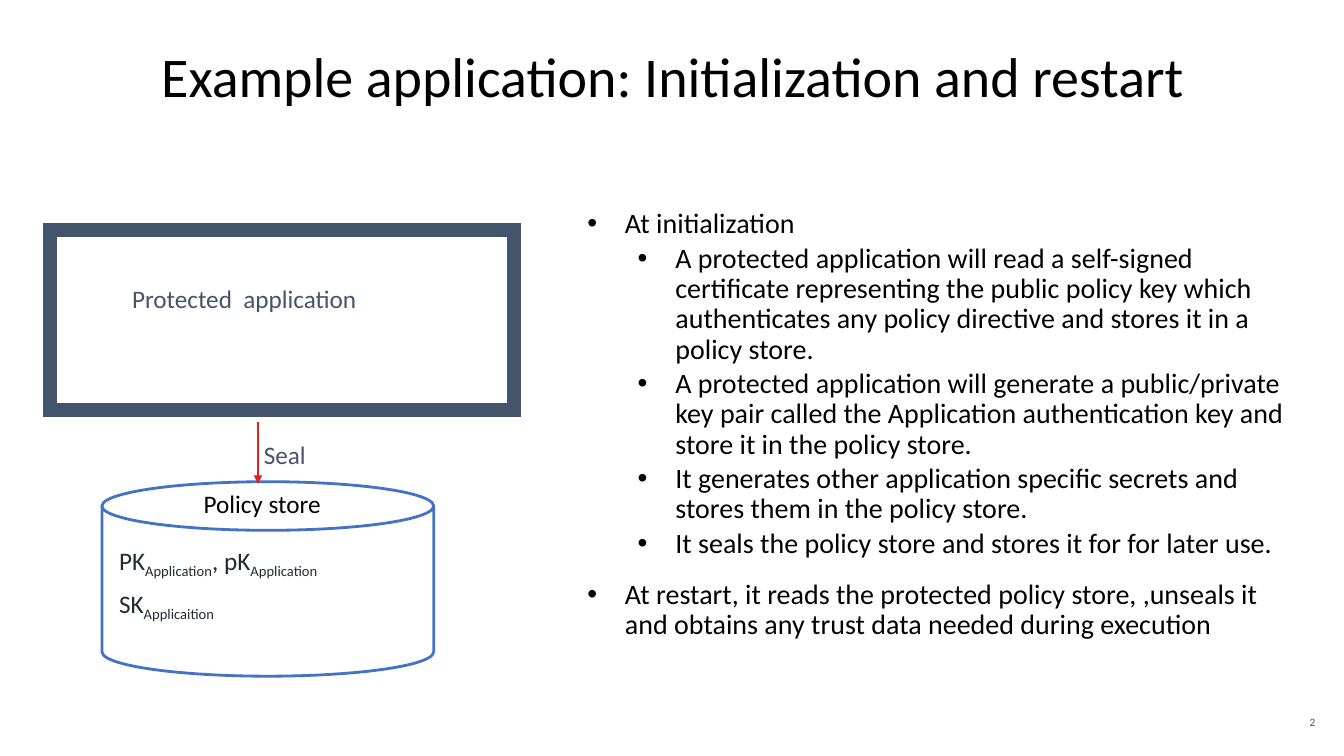
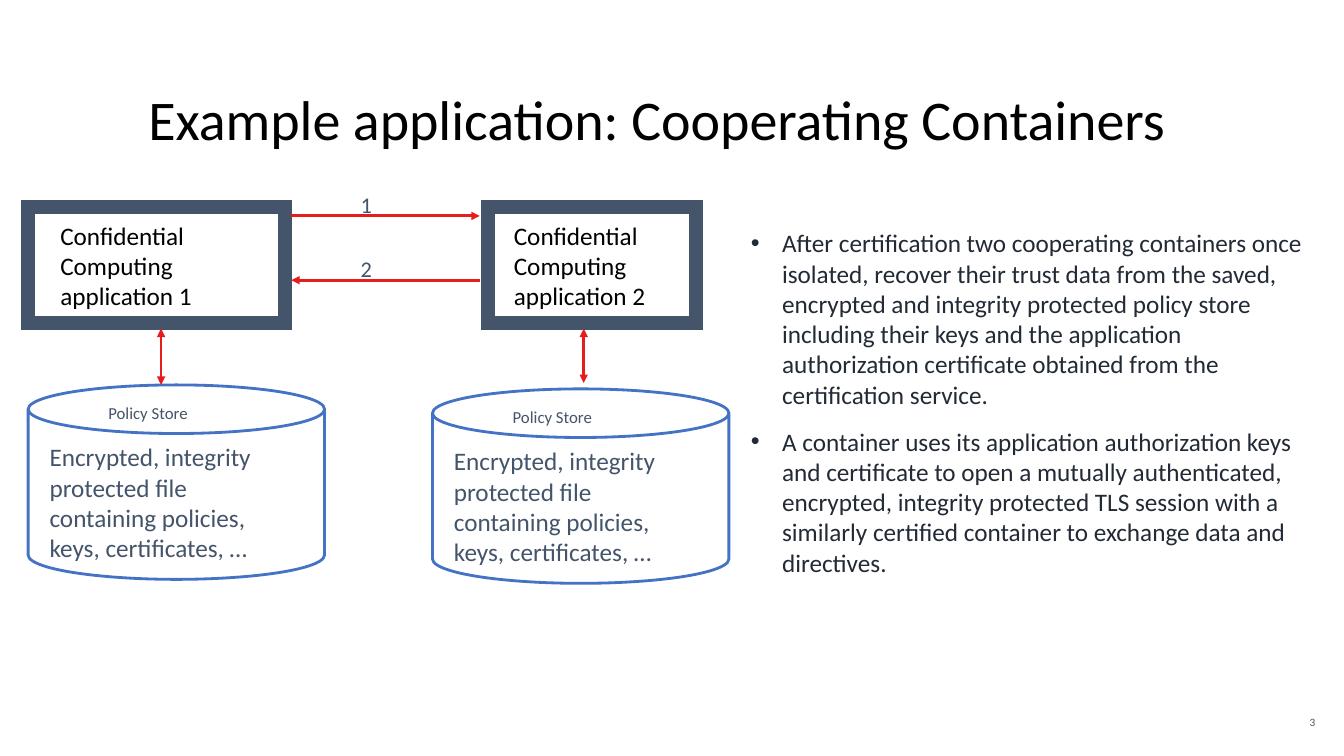
from lxml.etree import SubElement
from pptx import Presentation
from pptx.dml.color import RGBColor
from pptx.enum.shapes import MSO_CONNECTOR, MSO_SHAPE
from pptx.enum.text import MSO_ANCHOR, MSO_AUTO_SIZE, PP_ALIGN
from pptx.oxml.ns import qn
from pptx.util import Cm, Pt

FONT = "Calibri"
BLACK, SLATE, INK, BLUE, RED = "000000", "44546A", "222A35", "4472C4", "E71D1D"

RESTART_TITLE = "Example application: Initialization and restart"
RESTART_POINTS = [
    (0, 3, "At initialization"),
    (1, 3, "A protected application will read a self-signed certificate representing the public "
           "policy key which authenticates any policy directive and stores it in a policy store."),
    (1, 3, "A protected application will generate a public/private key pair called the "
           "Application authentication key and store it in the policy store."),
    (1, 3, "It generates other application specific secrets and stores them in the policy store."),
    (1, 3, "It seals the policy store and stores it for for later use."),
    (0, 15, "At restart, it reads the protected policy store, ,unseals it and obtains any trust "
            "data needed during execution"),
]
STORED_KEYS = [("PK", "Application", ", pK", "Application"), ("SK", "Applicaition")]

CONTAINERS_TITLE = "Example application: Cooperating Containers"
CONTAINERS_POINTS = [
    (0, 12, "After certification two cooperating containers once isolated, recover their trust "
            "data from the saved, encrypted and integrity protected policy store including their "
            "keys and the application authorization certificate obtained from the certification "
            "service."),
    (0, 12, "A container uses its application authorization keys and certificate to open a "
            "mutually authenticated, encrypted, integrity protected TLS session with a similarly "
            "certified container to exchange data and directives."),
]
STORE_CONTENT = "Encrypted, integrity protected file containing policies, keys, certificates, …"
CONTAINERS = [
    {"name": "Confidential Computing application 1", "left": 0.71, "width": 6.48,
     "name_left": 1.27, "store": (0.71, 9.7), "link": (4.06, 9.7)},
    {"name": "Confidential Computing application 2", "left": 12.29, "width": 5.26,
     "name_left": 12.7, "store": (10.9, 9.8), "link": (14.71, 9.65)},
]
EXCHANGES = [("1", 5.44, 7.34, 12.09), ("2", 7.06, 12.09, 7.34)]


def colour(value):
    return RGBColor.from_string(value)


def place(item, left, top, width, height):
    item.left, item.top, item.width, item.height = Cm(left), Cm(top), Cm(width), Cm(height)


def write(frame, paragraphs, size=18, fill=SLATE, align=PP_ALIGN.LEFT, spacing=1.0, after=0,
          inset=0.0, anchor=MSO_ANCHOR.TOP, wrap=True):
    frame.auto_size = MSO_AUTO_SIZE.NONE
    frame.word_wrap = wrap
    frame.vertical_anchor = anchor
    frame.margin_left = frame.margin_right = Cm(inset)
    frame.margin_top = frame.margin_bottom = Cm(inset / 2)
    for index, pieces in enumerate(paragraphs):
        para = frame.paragraphs[0] if index == 0 else frame.add_paragraph()
        para.alignment = align
        para.line_spacing = spacing
        para.space_before, para.space_after = Pt(0), Pt(after)
        for position, piece in enumerate([pieces] if isinstance(pieces, str) else pieces):
            span = para.add_run()
            span.text = piece
            span.font.name, span.font.size = FONT, Pt(size)
            span.font.color.rgb = colour(fill)
            if position % 2:
                span.font._element.set("baseline", "-25000")


def add_text(page, area, paragraphs, **text_format):
    box = page.shapes.add_textbox(*map(Cm, area))
    write(box.text_frame, paragraphs, **text_format)


def add_outline(page, kind, area, line_colour, weight):
    shape = page.shapes.add_shape(kind, *map(Cm, area))
    shape.shadow.inherit = False
    shape.fill.background()
    shape.line.color.rgb = colour(line_colour)
    shape.line.width = Pt(weight)
    SubElement(shape.line._get_or_add_ln(), qn("a:miter"), lim="800000")


def add_application(page, area):
    add_outline(page, MSO_SHAPE.RECTANGLE, area, SLATE, 10)


def add_store(page, area):
    add_outline(page, MSO_SHAPE.CAN, area, BLUE, 2)


def add_arrow(page, start, end, both=False):
    arrow = page.shapes.add_connector(MSO_CONNECTOR.STRAIGHT, *map(Cm, start + end))
    arrow.line.color.rgb = colour(RED)
    arrow.line.width = Pt(2)
    for tip in ("a:headEnd", "a:tailEnd") if both else ("a:tailEnd",):
        SubElement(arrow.line._get_or_add_ln(), qn(tip), type="triangle")
    SubElement(arrow._element.spPr, qn("a:effectLst"))


def add_page(deck, number, title, title_area, points, body_area, indent, **body_format):
    page = deck.slides.add_slide(deck.slide_layouts[1])
    heading, body = page.shapes.title, page.placeholders[1]
    place(heading, *title_area)
    write(heading.text_frame, [title], size=40, fill=BLACK, align=PP_ALIGN.CENTER,
          spacing=0.9, inset=0.25, anchor=MSO_ANCHOR.BOTTOM)
    place(body, *body_area)
    write(body.text_frame, [text for level, before, text in points], **body_format)
    for para, (level, before, text) in zip(body.text_frame.paragraphs, points):
        para.level = level
        para.space_before = Pt(before)
        properties = para._p.get_or_add_pPr()
        properties.set("marL", str(Cm(indent + 1.27 * level)))
        properties.set("indent", str(-Cm(indent)))
        SubElement(properties, qn("a:buFont"), typeface="Arial")
        SubElement(properties, qn("a:buChar"), char="•")
    add_text(page, (31.93, 17.96, 1.22, 0.51), [str(number)], size=8, align=PP_ALIGN.RIGHT,
             spacing=0.9, anchor=MSO_ANCHOR.MIDDLE, wrap=False)
    return page


def build_restart(deck):
    page = add_page(deck, 2, RESTART_TITLE, (2.34, 0.36, 29.21, 2.54), RESTART_POINTS,
                    (14.55, 5.16, 18.06, 12.52), 0.95, size=20, fill=BLACK, spacing=0.9,
                    inset=0.25)
    add_application(page, (1.27, 5.79, 11.68, 4.55))
    add_store(page, (2.57, 12.14, 8.36, 4.9))
    add_text(page, (3, 13.74, 7.95, 2.41), STORED_KEYS, fill=INK, after=6)
    add_arrow(page, (6.5, 10.64), (6.5, 12.19))
    add_text(page, (3.33, 7.14, 8, 1.65), ["Protected  application"], after=6)
    add_text(page, (6.65, 10.85, 2.9, 0.91), ["Seal"], spacing=1.3)
    add_text(page, (4.88, 12.19, 3.99, 1.02), ["Policy store"], fill=BLACK, inset=0.25)


def build_containers(deck):
    page = add_page(deck, 3, CONTAINERS_TITLE, (1.27, 0.58, 30.56, 3.38), CONTAINERS_POINTS,
                    (18.92, 5.74, 14.25, 10.49), 0.79, fill=INK)
    for container in CONTAINERS:
        left, top = container["store"]
        link, link_end = container["link"]
        add_application(page, (container["left"], 5.21, container["width"], 2.92))
        add_text(page, (container["name_left"], 5.42, 5.05, 2.57), [container["name"]],
                 fill=BLACK, inset=0.25)
        add_store(page, (left, top, 7.47, 4.9))
        add_text(page, (left + 0.54, top + 1.43, 6.1, 3.1), [STORE_CONTENT], after=6)
        add_text(page, (left + 2.02, top + 0.29, 2.03, 0.61), ["Policy Store"], size=12,
                 spacing=1.3, wrap=False)
        add_arrow(page, (link, 8.28), (link, link_end), both=True)
    for step, height, start, end in EXCHANGES:
        add_arrow(page, (start, height), (end, height))
        add_text(page, (9.09, height - 0.83, 0.74, 0.81), [step], size=16, spacing=1.3)


def main():
    deck = Presentation()
    deck.slide_width, deck.slide_height = Cm(33.87), Cm(19.05)
    build_restart(deck)
    build_containers(deck)
    deck.save("out.pptx")


if __name__ == "__main__":
    main()
